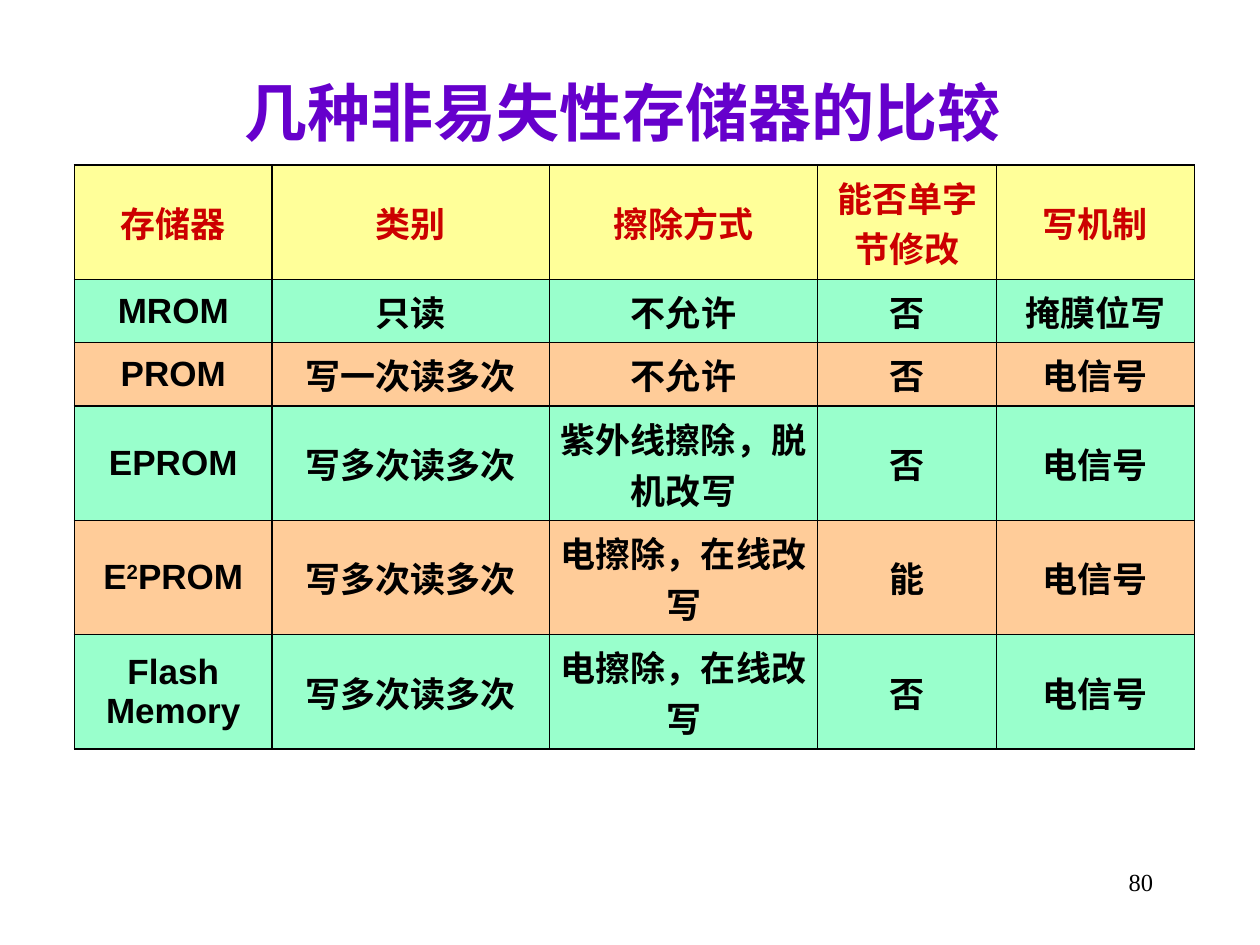
from pptx import Presentation
from pptx.util import Inches, Pt
from pptx.dml.color import RGBColor
from pptx.enum.text import PP_ALIGN, MSO_ANCHOR
from pptx.oxml import parse_xml
from pptx.oxml.ns import nsdecls

COLORS = {
    "title": "6600CC", "head": "CC0000", "text": "000000",
    "yellow": "FFFF99", "green": "99FFCC", "orange": "FFCC99",
}
WIDTHS = [1.57, 2.2, 2.13, 1.42, 1.57]
HEIGHTS = [0.71, 0.4, 0.43, 0.65, 0.59, 0.69]
ROWS = [
    ["存储器", "类别", "擦除方式", "能否单字节修改", "写机制"],
    ["MROM", "只读", "不允许", "否", "掩膜位写"],
    ["PROM", "写一次读多次", "不允许", "否", "电信号"],
    ["EPROM", "写多次读多次", "紫外线擦除，脱机改写", "否", "电信号"],
    ["E2PROM", "写多次读多次", "电擦除，在线改写", "能", "电信号"],
    ["Flash Memory", "写多次读多次", "电擦除，在线改写", "否", "电信号"],
]


def style(para, size, color, face="Arial", bold=True, align=PP_ALIGN.CENTER):
    para.alignment = align
    font = para.font
    font.name, font.size, font.bold = face, Pt(size), bold
    font.color.rgb = RGBColor.from_string(COLORS[color])


def border(cell):
    props = cell._tc.get_or_add_tcPr()
    for place, side in enumerate(["lnL", "lnR", "lnT", "lnB"]):
        props.insert(place, parse_xml(
            f'<a:{side} {nsdecls("a")} w="12700"><a:solidFill>'
            f'<a:srgbClr val="{COLORS["text"]}"/></a:solidFill></a:{side}>'))


prs = Presentation()
prs.slide_width, prs.slide_height = Inches(10), Inches(7.5)
slide = prs.slides.add_slide(prs.slide_layouts[5])

title = slide.shapes.title
title.left, title.top = Inches(0.75), Inches(0.52)
title.width, title.height = Inches(8.5), Inches(0.72)
title.text_frame.text = "几种非易失性存储器的比较 "
title.text_frame.vertical_anchor = MSO_ANCHOR.MIDDLE
style(title.text_frame.paragraphs[0], 36, "title", "Times New Roman")

table = slide.shapes.add_table(
    len(ROWS), len(WIDTHS), Inches(0.59), Inches(1.31),
    Inches(sum(WIDTHS)), Inches(sum(HEIGHTS))).table
for col, width in zip(table.columns, WIDTHS):
    col.width = Inches(width)
for row, height in zip(table.rows, HEIGHTS):
    row.height = Inches(height)

for r, words in enumerate(ROWS):
    fill = "yellow" if r == 0 else "green" if r % 2 else "orange"
    for c, word in enumerate(words):
        cell = table.cell(r, c)
        cell.fill.solid()
        cell.fill.fore_color.rgb = RGBColor.from_string(COLORS[fill])
        border(cell)
        cell.vertical_anchor = MSO_ANCHOR.MIDDLE
        cell.margin_left = cell.margin_right = Inches(0.02)
        cell.margin_top = cell.margin_bottom = Inches(0.05)
        para = cell.text_frame.paragraphs[0]
        for part in ["E", "2", "PROM"] if word == "E2PROM" else [word]:
            run = para.add_run()
            run.text = part
            if part == "2":
                run.font._element.set("baseline", "30000")
        style(para, 20, "text" if r else "head")

box = slide.shapes.add_textbox(Inches(7.17), Inches(6.83), Inches(2.08), Inches(0.5))
box.text_frame.word_wrap = True
box.text_frame.text = "80"
style(box.text_frame.paragraphs[0], 14, "text", "Times New Roman", False, PP_ALIGN.RIGHT)

prs.save("out.pptx")
